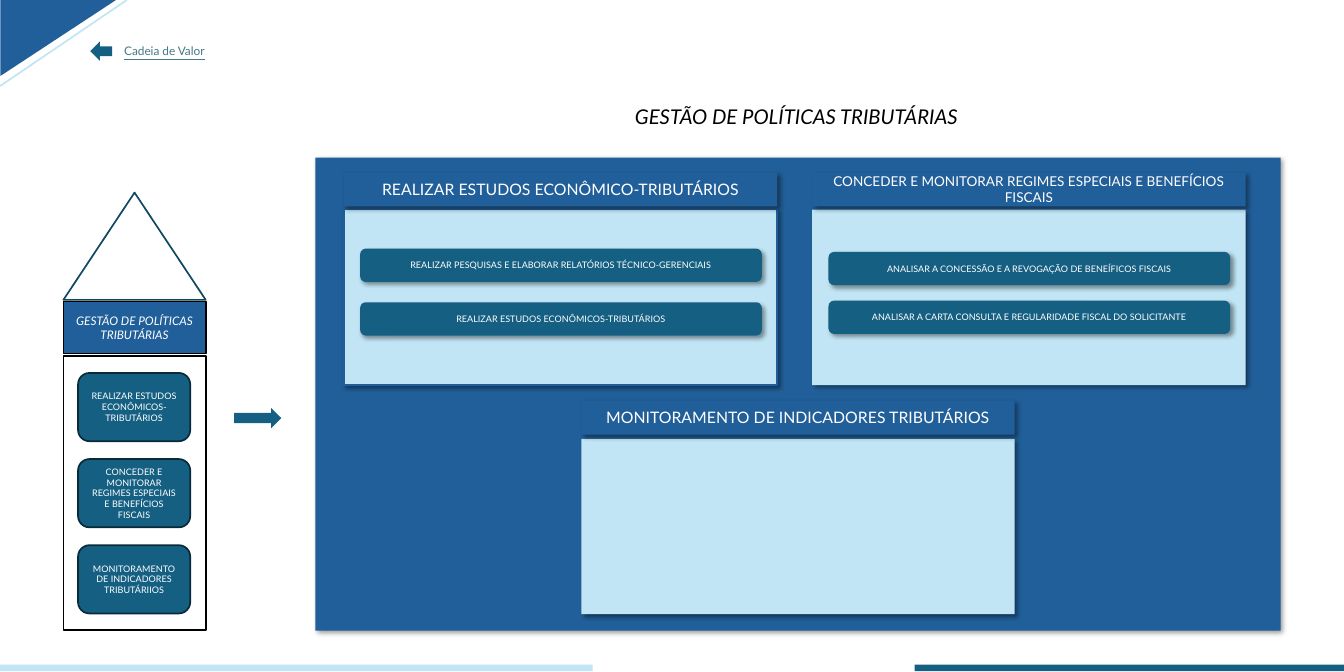
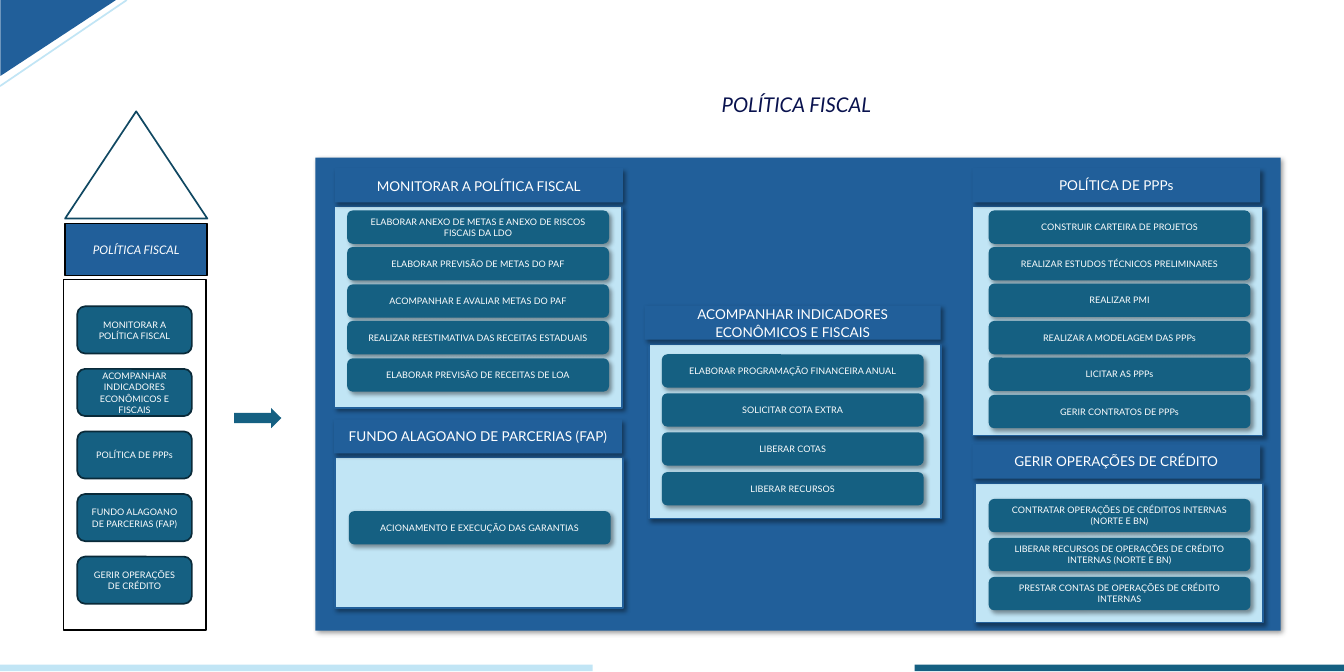
import lxml.etree
import pptx
import pptx.dml.color
import pptx.enum.shapes
import pptx.enum.text
import pptx.oxml.ns
import pptx.util

SHAPE = pptx.enum.shapes.MSO_SHAPE
ALIGN = pptx.enum.text.PP_ALIGN
qn = pptx.oxml.ns.qn

EMU_PER_PX = 9144
FONT = "Lato"
COLORS = {
    "white": "FFFFFF",
    "black": "000000",
    "navy": "09124E",
    "blue": "215F9A",
    "sky": "C1E5F5",
    "teal": "156082",
    "roof": "104862",
    "edge": "092A39",
    "link": "467886",
}


def px(length):
    return pptx.util.Emu(length * EMU_PER_PX)


def rgb(name):
    return pptx.dml.color.RGBColor.from_string(COLORS[name])


def spread(first, last, count):
    return [first + (last - first) * i // max(count - 1, 1) for i in range(count)]


class Deck:
    def __init__(self, width, height):
        self.prs = pptx.Presentation()
        self.prs.slide_width, self.prs.slide_height = px(width), px(height)
        self.slide = None

    def add_text(self, frame, text, size, color="white", italic=False,
                 underline=None, align=ALIGN.CENTER, leading=None):
        frame.word_wrap = True
        frame.vertical_anchor = pptx.enum.text.MSO_ANCHOR.MIDDLE
        paragraph = frame.paragraphs[0]
        paragraph.alignment = align
        paragraph.line_spacing = leading
        run = paragraph.add_run()
        run.text = text
        run.font.name = FONT
        run.font.size = pptx.util.Pt(size)
        run.font.italic = italic
        run.font.underline = underline
        run.font.color.rgb = rgb(color)

    def block(self, kind, box, fill, line=None, shadow=False):
        shape = self.slide.shapes.add_shape(kind, *map(px, box))
        shape.fill.solid()
        shape.fill.fore_color.rgb = rgb(fill)
        if line:
            shape.line.color.rgb = rgb(line)
            shape.line.width = pptx.util.Pt(1.5)
        else:
            shape.line.fill.background()
        shape.shadow.inherit = False
        if shadow:
            self.cast_shadow(shape)
        return shape

    def cast_shadow(self, shape):
        effects = shape.element.spPr.find(qn("a:effectLst"))
        outer = lxml.etree.SubElement(
            effects, qn("a:outerShdw"), blurRad=str(pptx.util.Pt(4)),
            dist=str(pptx.util.Pt(3)), dir="2700000", algn="tl", rotWithShape="0")
        color = lxml.etree.SubElement(outer, qn("a:srgbClr"), val=COLORS["black"])
        lxml.etree.SubElement(color, qn("a:alpha"), val="40000")

    def line(self, start, end, color):
        connector = self.slide.shapes.add_connector(
            pptx.enum.shapes.MSO_CONNECTOR.STRAIGHT, *map(px, start + end))
        connector.line.color.rgb = rgb(color)
        connector.line.width = pptx.util.Pt(1.5)
        lxml.etree.SubElement(connector.element.spPr, qn("a:effectLst"))

    def new_slide(self, title, color="black", bottom_inset=5):
        self.slide = self.prs.slides.add_slide(self.prs.slide_layouts[5])
        heading = self.slide.shapes.title
        heading.left, heading.top = px(386), px(95)
        heading.width, heading.height = px(1187), px(97)
        frame = heading.text_frame
        frame.auto_size = pptx.enum.text.MSO_AUTO_SIZE.NONE
        frame.margin_bottom = px(bottom_inset)
        self.add_text(frame, title, 18, color, italic=True)

        corner = self.block(SHAPE.RIGHT_TRIANGLE, (25, -25, 94, 143), "blue")
        corner.rotation = 90
        self.line((0, 106), (156, 0), "sky")
        self.block(SHAPE.RECTANGLE, (1125, 818, 528, 8), "teal")
        self.block(SHAPE.RECTANGLE, (0, 818, 729, 8), "sky")
        self.block(SHAPE.RIGHT_ARROW, (288, 502, 58, 25), "teal")
        self.block(SHAPE.RECTANGLE, (388, 194, 1187, 582), "blue", shadow=True)

    def pillar(self, name, roof, label, frame, step_box, last_top, steps, leading=None):
        self.block(SHAPE.ISOSCELES_TRIANGLE, (*roof, 175, 132), "white", "roof")
        self.block(SHAPE.RECTANGLE, frame, "white", "black")
        plate = self.block(SHAPE.RECTANGLE, (*label, 175, 64), "blue", "black")
        self.add_text(plate.text_frame, name, 10.5, italic=True)
        left, first_top, width, height = step_box
        for top, step in zip(spread(first_top, last_top, len(steps)), steps):
            box = self.block(SHAPE.ROUNDED_RECTANGLE, (left, top, width, height),
                             "teal", "edge")
            self.add_text(box.text_frame, step, 8, leading=leading)

    def group(self, name, header, body, border=None, size=12, leading=None,
              pill=(0, 0), tops=(0, 0), tasks=()):
        self.block(SHAPE.RECTANGLE, body, "sky", border, shadow=True)
        banner = self.block(SHAPE.RECTANGLE, (*header, 42), "blue", shadow=True)
        self.add_text(banner.text_frame, name, size, leading=leading)
        left, width = pill
        for top, task in zip(spread(*tops, len(tasks)), tasks):
            button = self.block(SHAPE.ROUNDED_RECTANGLE, (left, top, width, 41),
                                "teal", shadow=True)
            self.add_text(button.text_frame, task, 8)

    def back_label(self, text):
        self.block(SHAPE.LEFT_ARROW, (111, 51, 27, 24), "teal")
        label = self.slide.shapes.add_textbox(*map(px, (143, 49, 157, 28)))
        label.text_frame.auto_size = pptx.enum.text.MSO_AUTO_SIZE.SHAPE_TO_FIT_TEXT
        self.add_text(label.text_frame, text, 10.5, "link", underline=True,
                      align=ALIGN.LEFT)


def tax_policy(deck):
    name = "GESTÃO DE POLÍTICAS TRIBUTÁRIAS"
    deck.new_slide(name)
    deck.pillar(name, (78, 237), (78, 371), (78, 438, 175, 337),
                (96, 459, 138, 84), 671, [
                    "REALIZAR ESTUDOS ECONÔMICOS-TRIBUTÁRIOS",
                    "CONCEDER E MONITORAR REGIMES ESPECIAIS E BENEFÍCIOS FISCAIS",
                    "MONITORAMENTO DE INDICADORES TRIBUTÁRIIOS",
                ])
    deck.group("REALIZAR ESTUDOS ECONÔMICO-TRIBUTÁRIOS",
               (423, 212, 533), (423, 258, 533, 216), "blue", size=14,
               pill=(443, 494), tops=(306, 372), tasks=[
                   "REALIZAR PESQUISAS E ELABORAR RELATÓRIOS TÉCNICO-GERENCIAIS",
                   "REALIZAR ESTUDOS ECONÔMICOS-TRIBUTÁRIOS",
               ])
    deck.group("CONCEDER E MONITORAR REGIMES ESPECIAIS E BENEFÍCIOS FISCAIS",
               (999, 212, 533), (999, 258, 533, 216),
               pill=(1019, 494), tops=(310, 370), tasks=[
                   "ANALISAR A CONCESSÃO E A REVOGAÇÃO DE BENEÍFICOS FISCAIS",
                   "ANALISAR A CARTA CONSULTA E REGULARIDADE FISCAL DO SOLICITANTE",
               ])
    deck.group("MONITORAMENTO DE INDICADORES TRIBUTÁRIOS",
               (715, 493, 533), (715, 540, 533, 216), size=14)
    deck.back_label("Cadeia de Valor")


def fiscal_policy(deck):
    name = "POLÍTICA FISCAL"
    monitoring = "MONITORAR A POLÍTICA FISCAL"
    indicators = "ACOMPANHAR INDICADORES ECONÔMICOS E FISCAIS"
    partnerships = "POLÍTICA DE PPPs"
    fund = "FUNDO ALAGOANO DE PARCERIAS (FAP)"
    credit = "GERIR OPERAÇÕES DE CRÉDITO"

    deck.new_slide(name, "navy", bottom_inset=36)
    deck.pillar(name, (80, 137), (80, 275), (78, 344, 175, 431),
                (95, 377, 141, 58), 685,
                [monitoring, indicators, partnerships, fund, credit], leading=1.06)
    deck.group(monitoring, (412, 207, 354), (411, 254, 354, 248), "blue", leading=1.06,
               pill=(427, 322), tops=(259, 441), tasks=[
                   "ELABORAR ANEXO DE METAS E ANEXO DE RISCOS FISCAIS DA LDO",
                   "ELABORAR PREVISÃO DE METAS DO PAF",
                   "ACOMPANHAR E AVALIAR METAS DO PAF",
                   "REALIZAR REESTIMATIVA DAS RECEITAS ESTADUAIS",
                   "ELABORAR PREVISÃO DE RECEITAS DE LOA",
               ])
    deck.group(indicators, (793, 376, 364), (798, 424, 359, 214), "blue", leading=1.06,
               pill=(814, 322), tops=(436, 581), tasks=[
                   "ELABORAR PROGRAMAÇÃO FINANCEIRA ANUAL",
                   "SOLICITAR COTA EXTRA",
                   "LIBERAR COTAS",
                   "LIBERAR RECURSOS",
               ])
    deck.group(partnerships, (1196, 207, 354), (1196, 254, 357, 282), "blue",
               pill=(1216, 322), tops=(259, 486), tasks=[
                   "CONSTRUIR CARTEIRA DE PROJETOS",
                   "REALIZAR ESTUDOS TÉCNICOS PRELIMINARES",
                   "REALIZAR PMI",
                   "REALIZAR A MODELAGEM DAS PPPs",
                   "LICITAR AS PPPs",
                   "GERIR CONTRATOS DE PPPs",
               ])
    deck.group(fund, (411, 516, 354), (412, 563, 354, 185), "blue",
               pill=(429, 322), tops=(629, 629),
               tasks=["ACIONAMENTO E EXECUÇÃO DAS GARANTIAS"])
    deck.group(credit, (1196, 547, 354), (1199, 595, 354, 171), "blue",
               pill=(1216, 322), tops=(614, 710), tasks=[
                   "CONTRATAR OPERAÇÕES DE CRÉDITOS INTERNAS (NORTE E BN)",
                   "LIBERAR RECURSOS DE OPERAÇÕES DE CRÉDITO INTERNAS (NORTE E BN)",
                   "PRESTAR CONTAS DE OPERAÇÕES DE CRÉDITO INTERNAS",
               ])


def main():
    deck = Deck(1653, 827)
    tax_policy(deck)
    fiscal_policy(deck)
    deck.prs.save("out.pptx")


if __name__ == "__main__":
    main()
